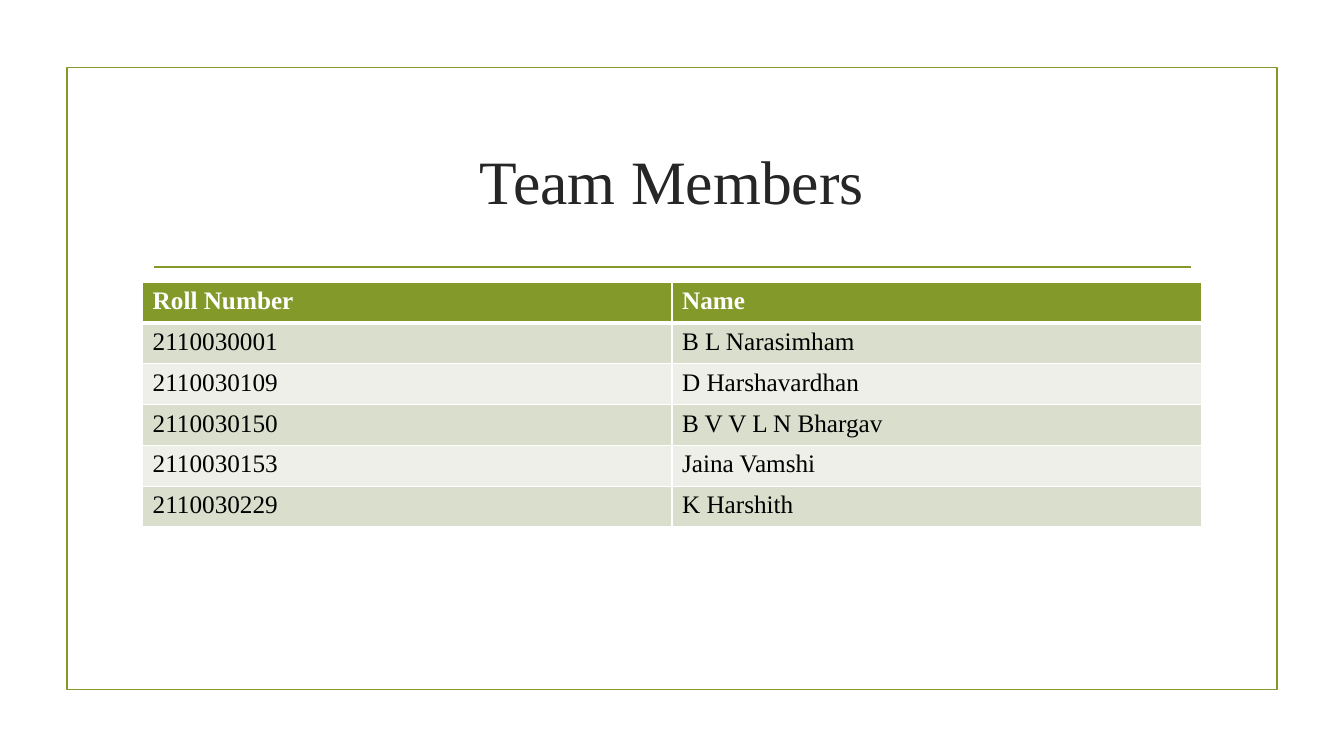
from lxml import etree
from pptx import Presentation
from pptx.dml.color import RGBColor
from pptx.enum.shapes import MSO_CONNECTOR, MSO_SHAPE
from pptx.enum.text import MSO_ANCHOR, PP_ALIGN
from pptx.oxml.ns import qn
from pptx.util import Inches, Pt

# Content
TITLE = "Team Members"
MEMBERS = [
    ("Roll Number", "Name"),
    ("2110030001", "B L Narasimham"),
    ("2110030109", "D Harshavardhan"),
    ("2110030150", "B V V L N Bhargav"),
    ("2110030153", "Jaina Vamshi"),
    ("2110030229", "K Harshith"),
]

# Style
FONT = "Times New Roman"
GREEN = RGBColor(0x83, 0x99, 0x2A)
DARK_BAND = RGBColor(0xD9, 0xDE, 0xCD)
LIGHT_BAND = RGBColor(0xED, 0xEF, 0xE8)
CHARCOAL = RGBColor(0x26, 0x26, 0x26)
BLACK = RGBColor(0, 0, 0)
WHITE = RGBColor(255, 255, 255)
STRAIGHT = MSO_CONNECTOR.STRAIGHT
RECTANGLE = MSO_SHAPE.RECTANGLE
MIDDLE = MSO_ANCHOR.MIDDLE
CENTER, LEFT = PP_ALIGN.CENTER, PP_ALIGN.LEFT
TITLE_ONLY = 5

# Layout in inches
SLIDE_WIDTH, SLIDE_HEIGHT = 13.33, 7.5
FRAME_WIDTH, FRAME_HEIGHT, FRAME_TOP = 12, 6.17, 0.67
CONTENT_WIDTH = 10.5
CONTENT_LEFT = (SLIDE_WIDTH - CONTENT_WIDTH) / 2
TITLE_TOP, TITLE_HEIGHT = 1.07, 1.43
RULE_LEFT, RULE_RIGHT, RULE_TOP = 1.53, 11.81, 2.65
TABLE_TOP, TABLE_HEIGHT = 2.8, 2.43


def write(frame, text, size, color, bold=False, align=LEFT):
    para = frame.paragraphs[0]
    para.alignment = align
    span = para.add_run()
    span.text = text
    span.font.name = FONT
    span.font.size = Pt(size)
    span.font.bold = bold
    span.font.color.rgb = color


def set_border(cell, side, width):
    properties = cell._tc.get_or_add_tcPr()
    line = etree.SubElement(properties, qn(f"a:ln{side}"), w=str(Pt(width)))
    fill = etree.SubElement(line, qn("a:solidFill"))
    etree.SubElement(fill, qn("a:srgbClr"), val=str(WHITE))


def add_frame(slide):
    frame = slide.shapes.add_shape(
        RECTANGLE, Inches((SLIDE_WIDTH - FRAME_WIDTH) / 2), Inches(FRAME_TOP),
        Inches(FRAME_WIDTH), Inches(FRAME_HEIGHT))
    frame.shadow.inherit = False
    frame.fill.background()
    frame.line.color.rgb = GREEN
    frame.line.width = Pt(1.25)


def add_rule(slide):
    rule = slide.shapes.add_connector(
        STRAIGHT, Inches(RULE_LEFT), Inches(RULE_TOP),
        Inches(RULE_RIGHT), Inches(RULE_TOP))
    rule.line.color.rgb = GREEN
    rule.line.width = Pt(1.25)
    etree.SubElement(rule._element.spPr, qn("a:effectLst"))


def add_title(slide):
    title = slide.shapes.title
    title.left, title.top = Inches(CONTENT_LEFT), Inches(TITLE_TOP)
    title.width, title.height = Inches(CONTENT_WIDTH), Inches(TITLE_HEIGHT)
    title.text_frame.vertical_anchor = MIDDLE
    write(title.text_frame, TITLE, 44, CHARCOAL, align=CENTER)


def add_members(slide):
    rows, columns = len(MEMBERS), len(MEMBERS[0])
    table = slide.shapes.add_table(
        rows, columns, Inches(CONTENT_LEFT), Inches(TABLE_TOP),
        Inches(CONTENT_WIDTH), Inches(TABLE_HEIGHT)).table
    for r, member in enumerate(MEMBERS):
        header = r == 0
        band = GREEN if header else DARK_BAND if r % 2 else LIGHT_BAND
        # A thick line parts the header from the rows below
        widths = {"L": 1, "R": 1, "T": 3 if r == 1 else 1, "B": 3 if header else 1}
        for c, text in enumerate(member):
            cell = table.cell(r, c)
            for side, width in widths.items():
                set_border(cell, side, width)
            cell.fill.solid()
            cell.fill.fore_color.rgb = band
            write(cell.text_frame, text, 18, WHITE if header else BLACK, bold=header)


def main():
    deck = Presentation()
    deck.slide_width, deck.slide_height = Inches(SLIDE_WIDTH), Inches(SLIDE_HEIGHT)
    slide = deck.slides.add_slide(deck.slide_layouts[TITLE_ONLY])
    add_frame(slide)
    add_rule(slide)
    add_title(slide)
    add_members(slide)
    deck.save("out.pptx")


if __name__ == "__main__":
    main()
